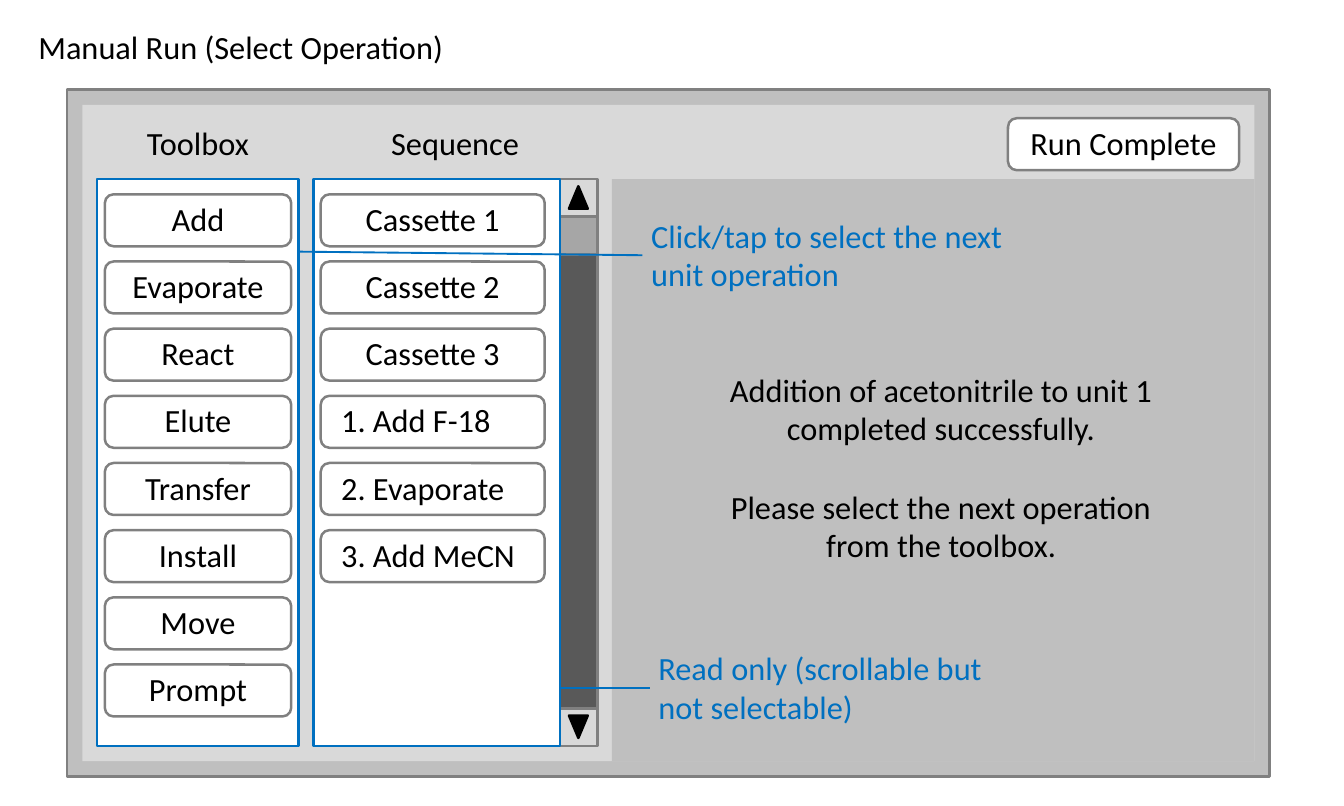
import pptx
import pptx.util
import pptx.dml.color
import pptx.enum.shapes
import pptx.enum.text
import pptx.oxml.ns
import lxml.etree

Inches = pptx.util.Inches
Pt = pptx.util.Pt
RGBColor = pptx.dml.color.RGBColor
SHAPE = pptx.enum.shapes.MSO_SHAPE
ALIGN = pptx.enum.text.PP_ALIGN
ANCHOR = pptx.enum.text.MSO_ANCHOR

BLACK = RGBColor(0x00, 0x00, 0x00)
WHITE = RGBColor(0xFF, 0xFF, 0xFF)
BLUE = RGBColor(0x00, 0x70, 0xC0)
PANEL_GRAY = RGBColor(0xBF, 0xBF, 0xBF)
LIGHT_GRAY = RGBColor(0xD9, 0xD9, 0xD9)
EDGE_GRAY = RGBColor(0x80, 0x80, 0x80)
THUMB_GRAY = RGBColor(0xA6, 0xA6, 0xA6)
TRACK_GRAY = RGBColor(0x59, 0x59, 0x59)

TEXT_SIZE = 26
BLANK_LINE = 31.7
BUTTON_HEIGHT = 0.58
BUTTON_STEP = 0.75
FIRST_BUTTON = 2.17
LIST_TOP = 2
LIST_HEIGHT = 6.33
SCROLL_LEFT = 6.25
SCROLL_SIDE = 0.42

TOOLS = ["Add", "Evaporate", "React", "Elute", "Transfer", "Install", "Move", "Prompt"]
CASSETTES = ["Cassette 1", "Cassette 2", "Cassette 3"]
STEPS = ["1. Add F-18", "2. Evaporate", "3. Add MeCN"]


def set_format(target, values):
    for name, value in values.items():
        setattr(target, name, value)


def write(frame, lines, align=ALIGN.LEFT, color=BLACK, gap=0):
    """Fill a text frame, one paragraph for each line."""
    for index, line in enumerate(lines):
        para = frame.paragraphs[0] if index == 0 else frame.add_paragraph()
        set_format(para, {"alignment": align, "space_before": Pt(gap if index else 0)})
        span = para.add_run()
        span.text = line
        set_format(span.font, {"name": "Calibri", "size": Pt(TEXT_SIZE)})
        span.font.color.rgb = color


def add_text(slide, left, top, width, height, lines, **style):
    box = slide.shapes.add_textbox(
        Inches(left), Inches(top), Inches(width), Inches(height))
    box.text_frame.word_wrap = True
    write(box.text_frame, lines, **style)


def add_block(slide, left, top, width, height, fill=None, line=None,
              kind=SHAPE.RECTANGLE, rotation=0):
    block = slide.shapes.add_shape(
        kind, Inches(left), Inches(top), Inches(width), Inches(height))
    block.shadow.inherit = False
    block.rotation = rotation
    if fill is None:
        block.fill.background()
    else:
        block.fill.solid()
        block.fill.fore_color.rgb = fill
    if line is None:
        block.line.fill.background()
    else:
        block.line.color.rgb = line
        block.line.width = Pt(2)
    return block


def add_button(slide, left, top, width, label, align=ALIGN.CENTER):
    button = add_block(slide, left, top, width, BUTTON_HEIGHT, WHITE, EDGE_GRAY,
                       SHAPE.ROUNDED_RECTANGLE)
    inset = Inches(0.2 if align == ALIGN.LEFT else 0.1)
    set_format(button.text_frame, {
        "margin_left": inset, "margin_right": Inches(0.1),
        "margin_top": 0, "margin_bottom": Inches(0.04),
        "vertical_anchor": ANCHOR.MIDDLE, "word_wrap": True})
    write(button.text_frame, [label], align=align)


def add_button_column(slide, left, width, labels, first_row=0, align=ALIGN.CENTER):
    for row, label in enumerate(labels, first_row):
        add_button(slide, left, FIRST_BUTTON + row * BUTTON_STEP, width, label, align)


def add_scroll_end(slide, top, rotation):
    add_block(slide, SCROLL_LEFT, top, SCROLL_SIDE, SCROLL_SIDE,
              LIGHT_GRAY, EDGE_GRAY)
    add_block(slide, SCROLL_LEFT + 0.1, top + 0.08, 0.21, 0.25, BLACK, BLACK,
              SHAPE.ISOSCELES_TRIANGLE, rotation)


def add_callout(slide, start, end, text_left, text_top, text):
    """Blue note with a line back to the list that it explains."""
    pointer = slide.shapes.add_connector(
        pptx.enum.shapes.MSO_CONNECTOR.STRAIGHT,
        *(Inches(value) for value in start + end))
    pointer.line.color.rgb = BLUE
    pointer.line.width = Pt(1.5)
    lxml.etree.SubElement(pointer._element.spPr, pptx.oxml.ns.qn("a:effectLst"))
    add_text(slide, text_left, text_top, 4.33, 0.98, [text], color=BLUE)


def main():
    deck = pptx.Presentation()
    set_format(deck, {"slide_width": Inches(15), "slide_height": Inches(9)})
    slide = deck.slides.add_slide(deck.slide_layouts[6])

    # Window and headings
    add_block(slide, 0.75, 1, 13.42, 7.67, PANEL_GRAY, EDGE_GRAY)
    add_block(slide, 0.92, 1.17, 13.08, 7.33, LIGHT_GRAY)
    add_block(slide, 6.83, LIST_TOP, 7.17, 6.5, PANEL_GRAY)
    add_text(slide, 0.33, 0.25, 8, 0.54, ["Manual Run (Select Operation)"])
    add_text(slide, 1.17, 1.33, 2.08, 0.54, ["Toolbox"], align=ALIGN.CENTER)
    add_text(slide, 3.58, 1.33, 3, 0.54, ["Sequence"], align=ALIGN.CENTER)
    add_button(slide, 11.25, 1.32, 2.58, "Run Complete")

    # Toolbox
    add_block(slide, 1.08, LIST_TOP, 2.25, LIST_HEIGHT, WHITE, BLUE)
    add_button_column(slide, 1.17, 2.08, TOOLS)

    # Scroll bar
    add_block(slide, SCROLL_LEFT, 2.58, SCROLL_SIDE, 5.33, TRACK_GRAY, EDGE_GRAY)
    add_block(slide, SCROLL_LEFT, LIST_TOP + SCROLL_SIDE, SCROLL_SIDE, SCROLL_SIDE,
              THUMB_GRAY, EDGE_GRAY)
    add_scroll_end(slide, LIST_TOP, 0)
    add_scroll_end(slide, LIST_TOP + LIST_HEIGHT - SCROLL_SIDE, 180)

    # Sequence
    add_block(slide, 3.5, LIST_TOP, 2.75, LIST_HEIGHT, WHITE, BLUE)
    add_button_column(slide, 3.58, 2.5, CASSETTES)
    add_button_column(slide, 3.58, 2.5, STEPS, len(CASSETTES), ALIGN.LEFT)

    # Status message
    add_text(slide, 7.67, 4.08, 5.67, 2.29, [
        "Addition of acetonitrile to unit 1 completed successfully.",
        "Please select the next operation from the toolbox."],
        align=ALIGN.CENTER, gap=BLANK_LINE)

    # Callouts
    add_callout(slide, (3.33, 2.81), (7.17, 2.85), 7.17, 2.36,
                "Click/tap to select the next unit operation")
    add_callout(slide, (SCROLL_LEFT, 7.68), (7.25, 7.68), 7.25, 7.19,
                "Read only (scrollable but not selectable)")

    deck.save("out.pptx")


main()
